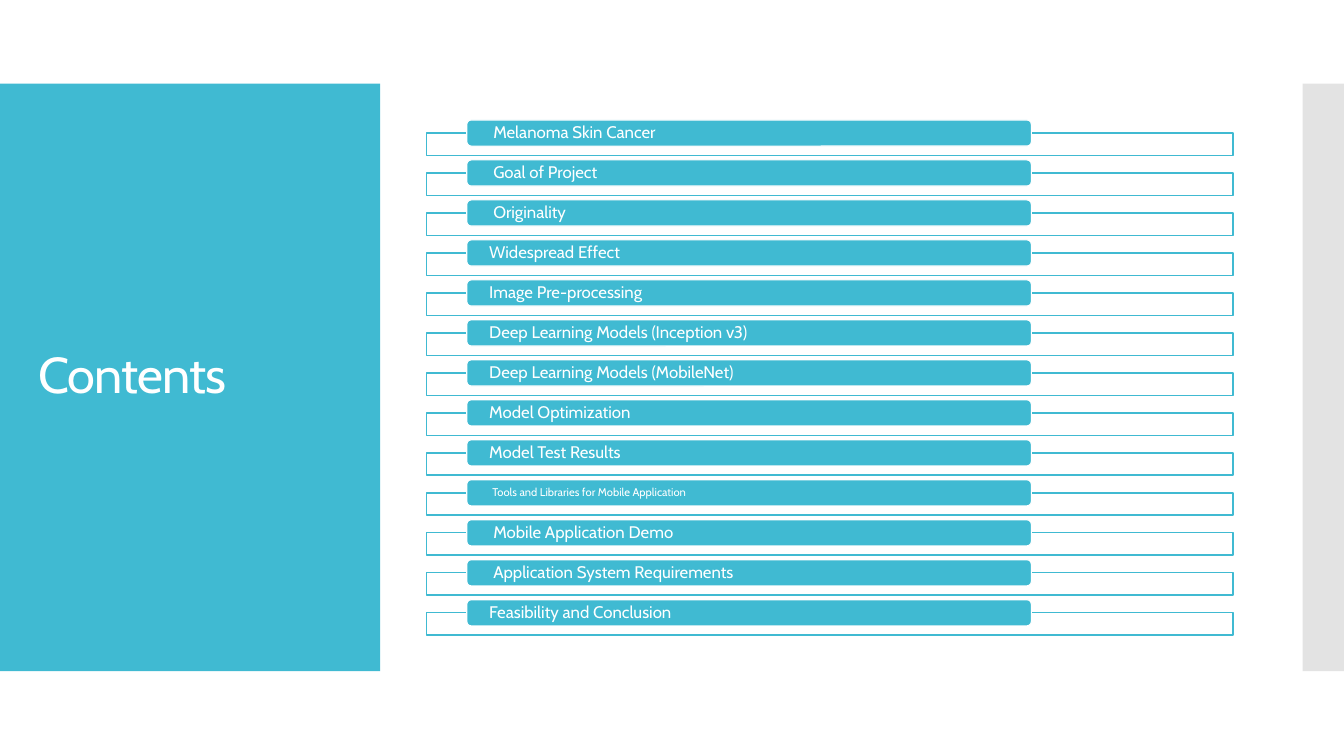
from pptx import Presentation
from pptx.dml.color import RGBColor
from pptx.enum.shapes import MSO_SHAPE
from pptx.enum.text import MSO_ANCHOR, PP_ALIGN
from pptx.util import Inches, Pt

RECTANGLE = MSO_SHAPE.RECTANGLE
ROUNDED = MSO_SHAPE.ROUNDED_RECTANGLE
MIDDLE = MSO_ANCHOR.MIDDLE
LEFT = PP_ALIGN.LEFT

HEADING = "Contents"
TOPICS = [
    ("Melanoma Skin Cancer", 12, 0.25),
    ("Goal of Project", 12, 0.25),
    ("Originality", 12, 0.25),
    ("Widespread Effect", 12, 0.21),
    ("Image Pre-processing", 12, 0.21),
    ("Deep Learning Models (Inception v3)", 12, 0.21),
    ("Deep Learning Models (MobileNet)", 12, 0.21),
    ("Model Optimization", 12, 0.21),
    ("Model Test Results", 12, 0.21),
    ("Tools and Libraries for Mobile Application", 8, 0.24),
    ("Mobile Application Demo", 12, 0.25),
    ("Application System Requirements", 12, 0.25),
    ("Feasibility and Conclusion", 12, 0.21),
]
COLORS = {"teal": "40BAD2", "white": "FFFFFF", "gray": "E3E3E3"}
FONT = "Cabin"
FIRST_TOP, LAST_TOP = 1.19, 5.95
PITCH = (LAST_TOP - FIRST_TOP) / (len(TOPICS) - 1)
FRAME_DROP = 0.13


def color(name):
    return RGBColor.from_string(COLORS[name])


def add_block(slide, kind, box, fill, line=None):
    block = slide.shapes.add_shape(kind, *map(Inches, box))
    block.shadow.inherit = False
    block.fill.solid()
    block.fill.fore_color.rgb = color(fill)
    if line:
        block.line.color.rgb = color(line)
        block.line.width = Pt(0.85)
    else:
        block.line.fill.background()
    return block


def write(frame, text, size):
    frame.vertical_anchor = MIDDLE
    frame.word_wrap = True
    paragraph = frame.paragraphs[0]
    paragraph.alignment = LEFT
    paragraph.line_spacing = 0.9
    run = paragraph.add_run()
    run.text = text
    run.font.name = FONT
    run.font.size = Pt(size)
    run.font.color.rgb = color("white")
    return run


def add_topic(slide, top, text, size, indent):
    add_block(slide, RECTANGLE, (4.23, top + FRAME_DROP, 8, 0.22), "white", "teal")
    pill = add_block(slide, ROUNDED, (4.63, top, 5.6, 0.26), "teal", "white")
    frame = pill.text_frame
    frame.margin_left, frame.margin_right = Inches(indent), Inches(0.21)
    frame.margin_top = frame.margin_bottom = 0
    write(frame, text, size)


def main():
    deck = Presentation()
    deck.slide_width, deck.slide_height = Inches(13.33), Inches(7.5)
    slide = deck.slides.add_slide(deck.slide_layouts[5])

    sidebar = add_block(slide, RECTANGLE, (0, 0.83, 3.77, 5.83), "teal")
    add_block(slide, RECTANGLE, (12.92, 0.83, 0.41, 5.83), "gray")

    title = slide.shapes.title
    title.left, title.top = Inches(0.28), Inches(1.23)
    title.width, title.height = Inches(3.22), Inches(5.03)
    sidebar.element.addnext(title.element)
    heading = write(title.text_frame, HEADING, 36)
    heading.font._element.set("spc", "-60")

    for row, topic in enumerate(TOPICS):
        add_topic(slide, FIRST_TOP + row * PITCH, *topic)

    deck.save("out.pptx")


if __name__ == "__main__":
    main()
